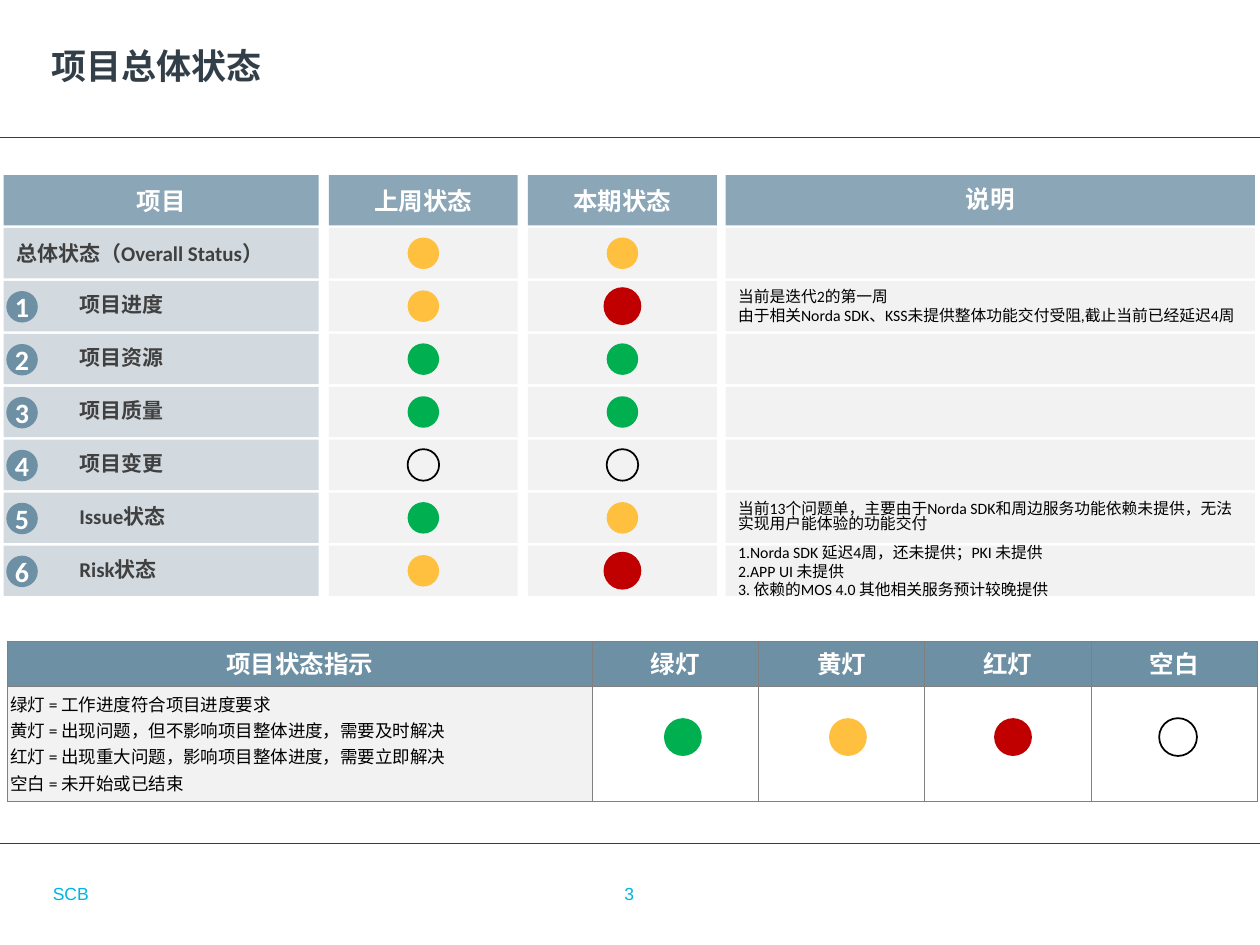
"""Build the overall project status slide."""
from lxml.etree import SubElement
from pptx import Presentation
from pptx.dml.color import RGBColor
from pptx.enum.shapes import MSO_CONNECTOR, MSO_SHAPE
from pptx.enum.text import MSO_ANCHOR as Anchor, PP_ALIGN as Align
from pptx.oxml.ns import qn
from pptx.util import Inches, Pt

TITLE = "项目总体状态"
FOOTERS = [("SCB", 0.42, 3.07, Align.LEFT), ("3", 3.83, 2.33, Align.CENTER)]
HEADERS = ["项目", "上周状态", "本期状态", "说明"]
COLUMNS = [(0.03, 2.5), (2.61, 1.5), (4.19, 1.5), (5.76, 4.2)]
STATUSES = [
    ("总体状态（Overall Status）", "yellow", "yellow", []),
    ("项目进度", "yellow", "red", [
        "当前是迭代2的第一周",
        "由于相关Norda SDK、KSS未提供整体功能交付受阻,截止当前已经延迟4周"]),
    ("项目资源", "green", "green", []),
    ("项目质量", "green", "green", []),
    ("项目变更", "blank", "blank", []),
    ("Issue状态", "green", "yellow", [
        "当前13个问题单，主要由于Norda SDK和周边服务功能依赖未提供，无法实现用户能体验的功能交付"]),
    ("Risk状态", "yellow", "red", [
        "1.Norda SDK 延迟4周，还未提供；PKI 未提供",
        "2.APP UI 未提供",
        "3. 依赖的MOS 4.0 其他相关服务预计较晚提供"]),
]
LEGEND_HEADERS = ["项目状态指示", "绿灯", "黄灯", "红灯", "空白"]
LEGEND_LINES = [
    "绿灯 = 工作进度符合项目进度要求",
    "黄灯 = 出现问题，但不影响项目整体进度，需要及时解决",
    "红灯 = 出现重大问题，影响项目整体进度，需要立即解决",
    "空白 = 未开始或已结束",
]
LEGEND_WIDTHS = [4.64, 1.32, 1.32, 1.32, 1.32]
LEGEND_HEIGHTS = [0.36, 0.91]
LIGHTS = {"green": "00B050", "yellow": "FFBF3F", "red": "C00000", "blank": None}
BLUE, LABEL, PALE, GREY, WHITE, BLACK = (
    "6D90A5", "D2D9DF", "F2F2F2", "808080", "FFFFFF", "000000")
SLATE, CYAN, CHARCOAL = "333F48", "00B5E2", "404040"
TOP, PITCH, HEIGHT = 1.39, 0.42, 0.4


def paint(target, color):
    target.solid()
    target.fore_color.rgb = RGBColor.from_string(color)


def write(frame, lines, size, color, bold=False, align=Align.LEFT, font="Calibri",
          spacing=None, before=0):
    frame.text = "\n".join(lines)
    for paragraph in frame.paragraphs:
        paragraph.alignment = align
        paragraph.line_spacing = spacing
        paragraph.space_before = Pt(before)
        for span in paragraph.runs:
            span.font.size, span.font.bold, span.font.name = Pt(size), bold, font
            span.font.color.rgb = RGBColor.from_string(color)


def set_margins(frame, left, top, right, bottom):
    frame.margin_left, frame.margin_top = Inches(left), Inches(top)
    frame.margin_right, frame.margin_bottom = Inches(right), Inches(bottom)


def add_shape(page, kind, left, top, width, height, color):
    shape = page.shapes.add_shape(
        kind, Inches(left), Inches(top), Inches(width), Inches(height))
    shape.shadow.inherit = False
    shape.line.fill.background()
    if color:
        paint(shape.fill, color)
    else:
        shape.fill.background()
    shape.text_frame.vertical_anchor = Anchor.MIDDLE
    return shape


def add_light(page, center_x, center_y, light, size):
    shape = add_shape(page, MSO_SHAPE.OVAL, center_x - size / 2, center_y - size / 2,
                      size, size, LIGHTS[light])
    if light == "blank":
        paint(shape.line.fill, BLACK)
        shape.line.width = Pt(1)


def add_frame(page):
    for y in (1.09, 6.69):
        rule = page.shapes.add_connector(
            MSO_CONNECTOR.STRAIGHT, 0, Inches(y), Inches(10), Inches(y))
        paint(rule.line.fill, SLATE)
        rule.line.width = Pt(0.25)
        SubElement(rule._element.spPr, qn("a:effectLst"))
    for text, left, width, align in FOOTERS:
        box = page.shapes.add_textbox(
            Inches(left), Inches(6.94), Inches(width), Inches(0.31))
        frame = box.text_frame
        frame.word_wrap, frame.vertical_anchor = True, Anchor.MIDDLE
        set_margins(frame, 0, 0, 0, 0)
        write(frame, [text], 10, CYAN, align=align, font="Arial")
    title = page.shapes.title
    title.left, title.top = Inches(0.41), Inches(0.21)
    title.width, title.height = Inches(8), Inches(0.62)
    title.text_frame.vertical_anchor = Anchor.MIDDLE
    title.text_frame.word_wrap = False
    set_margins(title.text_frame, 0, 0, 0, 0)
    write(title.text_frame, [TITLE], 20, SLATE, True, font="Arial")


def add_header(page):
    for text, (left, width) in zip(HEADERS, COLUMNS):
        cell = add_shape(page, MSO_SHAPE.RECTANGLE, left, TOP, width, HEIGHT, BLUE)
        color = cell._element.spPr.find(qn("a:solidFill"))[0]
        SubElement(color, qn("a:alpha"), val="80000")
        spacing = 0.9 if text == HEADERS[-1] else None
        write(cell.text_frame, [text], 14, WHITE, True, Align.CENTER, spacing=spacing)


def add_status(page, number, label, previous, current, notes):
    top = TOP + PITCH * (number + 1)
    cells = [add_shape(page, MSO_SHAPE.RECTANGLE, left, top, width, HEIGHT, color)
             for (left, width), color in zip(COLUMNS, (LABEL, PALE, PALE, PALE))]
    name = cells[0].text_frame
    if number:
        name.margin_left = Inches(0.6)
        write(name, [label], 12, CHARCOAL, True, spacing=0.9, before=2.4)
        badge = add_shape(page, MSO_SHAPE.OVAL, 0.05, top + 0.08, 0.25, 0.25, BLUE)
        badge.text_frame.word_wrap = False
        set_margins(badge.text_frame, 0.05, 0.04, 0.05, 0.04)
        write(badge.text_frame, [str(number)], 16, WHITE, True, Align.CENTER)
    else:
        write(name, [label], 12, CHARCOAL, True)
    if notes:
        spacing = 0.8 if len(notes) == 1 else None
        write(cells[3].text_frame, notes, 9, BLACK, spacing=spacing)
    for (left, width), light in zip(COLUMNS[1:3], (previous, current)):
        add_light(page, left + width / 2, top + HEIGHT / 2, light,
                  0.3 if light == "red" else 0.25)


def set_borders(cell):
    properties = cell._tc.get_or_add_tcPr()
    for index, side in enumerate(("lnL", "lnR", "lnT", "lnB")):
        line = SubElement(properties, qn(f"a:{side}"), w=str(Pt(0.5)))
        SubElement(SubElement(line, qn("a:solidFill")), qn("a:srgbClr"), val=GREY)
        properties.insert(index, line)


def add_legend(page):
    table = page.shapes.add_table(
        2, len(LEGEND_WIDTHS), Inches(0.06), Inches(5.09),
        Inches(sum(LEGEND_WIDTHS)), Inches(sum(LEGEND_HEIGHTS))).table
    for column, width in zip(table.columns, LEGEND_WIDTHS):
        column.width = Inches(width)
    for row, height in zip(table.rows, LEGEND_HEIGHTS):
        row.height = Inches(height)
    for index, text in enumerate(LEGEND_HEADERS):
        head, body = table.cell(0, index), table.cell(1, index)
        for cell, color in ((head, BLUE), (body, WHITE if index else PALE)):
            paint(cell.fill, color)
            cell.vertical_anchor = Anchor.MIDDLE
            set_borders(cell)
        write(head.text_frame, [text], 14, WHITE, True, Align.CENTER,
              spacing=0.9, before=2.8)
    meaning = table.cell(1, 0)
    meaning.margin_left = Inches(0.02)
    write(meaning.text_frame, LEGEND_LINES, 10, BLACK, spacing=0.9, before=2)
    for index, light in enumerate(LIGHTS):
        add_light(page, 5.42 + 1.31 * index, 5.85, light, 0.3)


def main():
    deck = Presentation()
    deck.slide_width, deck.slide_height = Inches(10), Inches(7.5)
    page = deck.slides.add_slide(deck.slide_layouts[5])
    add_frame(page)
    add_header(page)
    for number, status in enumerate(STATUSES):
        add_status(page, number, *status)
    add_legend(page)
    deck.save("out.pptx")


if __name__ == "__main__":
    main()
